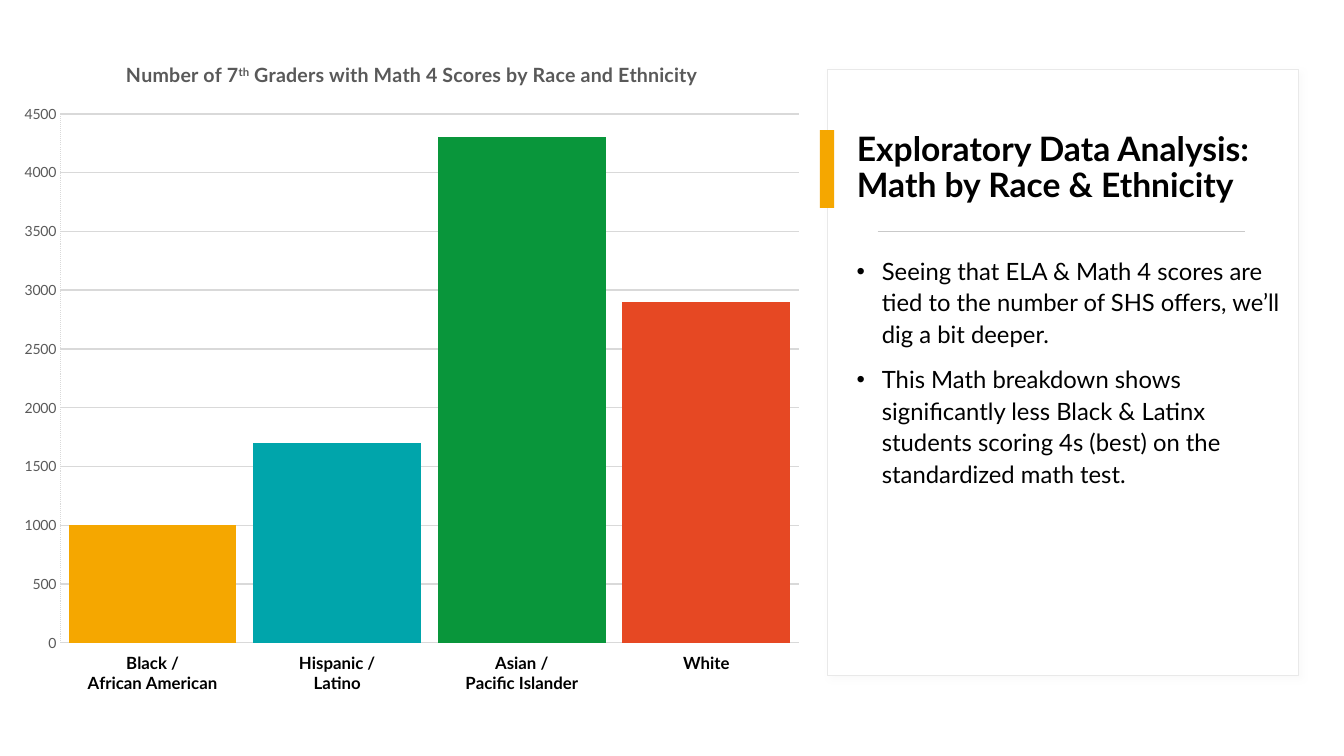
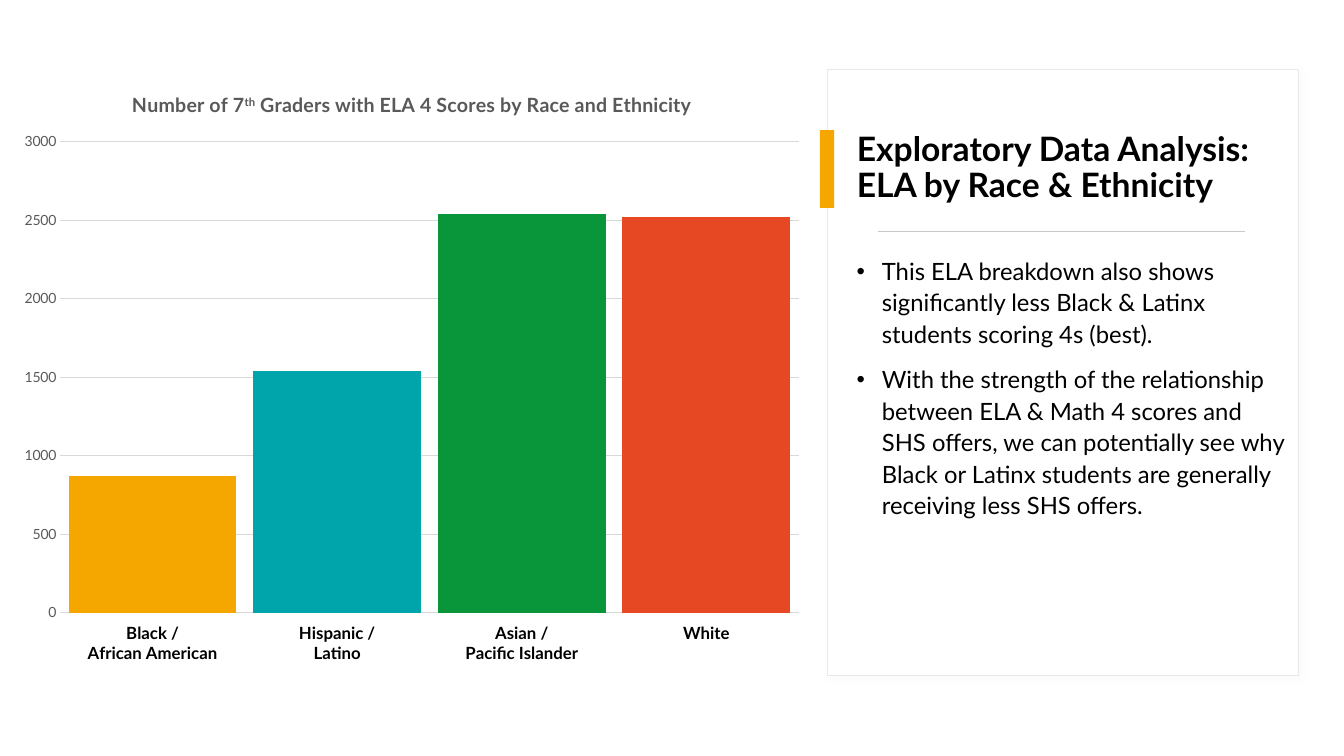
"""Build two slides that compare test scores by race and ethnicity."""
from dataclasses import dataclass

from lxml import etree
from pptx import Presentation
from pptx.chart.axis import CategoryAxis, ValueAxis
from pptx.chart.chart import Chart
from pptx.chart.data import CategoryChartData
from pptx.dml.color import RGBColor
from pptx.enum.chart import XL_CHART_TYPE, XL_TICK_LABEL_POSITION, XL_TICK_MARK
from pptx.enum.dml import MSO_LINE
from pptx.enum.shapes import MSO_CONNECTOR, MSO_SHAPE
from pptx.enum.text import MSO_ANCHOR, MSO_AUTO_SIZE, PP_ALIGN
from pptx.oxml import parse_xml
from pptx.oxml.ns import nsdecls, qn
from pptx.shapes.autoshape import Shape
from pptx.slide import Slide
from pptx.text.text import Font
from pptx.util import Cm, Pt

COLUMN = XL_CHART_TYPE.COLUMN_CLUSTERED
LABELS_LOW = XL_TICK_LABEL_POSITION.LOW
NO_TICK = XL_TICK_MARK.NONE
DOTTED = MSO_LINE.ROUND_DOT
STRAIGHT = MSO_CONNECTOR.STRAIGHT
RECTANGLE = MSO_SHAPE.RECTANGLE
MIDDLE = MSO_ANCHOR.MIDDLE
NO_AUTOFIT = MSO_AUTO_SIZE.NONE
LEFT = PP_ALIGN.LEFT
TITLE_ONLY = 5


@dataclass(frozen=True)
class Theme:
    """Colours, font and type sizes shared by the slides."""

    font: str = "Lato"
    text: str = "000000"
    muted: str = "595959"
    panel: str = "FFFFFF"
    border: str = "E9E9E9"
    shadow: str = "D9D9D9"
    grid: str = "D9D9D9"
    divider: str = "C9C9C9"
    accent: str = "F5A700"
    bars: tuple[str, ...] = ("F5A700", "00A5AB", "09963B", "E64823")
    title_size: float = 24
    body_size: float = 17
    chart_title_size: float = 14
    category_size: float = 12
    value_size: float = 10


@dataclass(frozen=True)
class Box:
    """A rectangle measured in centimetres."""

    left: float
    top: float
    width: float
    height: float

    def lengths(self) -> tuple[Cm, Cm, Cm, Cm]:
        """Return the rectangle as slide lengths."""
        return Cm(self.left), Cm(self.top), Cm(self.width), Cm(self.height)


@dataclass(frozen=True)
class ScoreSlide:
    """The content of one slide on one subject."""

    subject: str
    bullets: tuple[str, ...]
    values: tuple[int, ...]
    maximum: int
    chart_box: Box
    chart_title_left: float
    plot_top: float
    grid_width: float
    dotted_axis: bool


THEME = Theme()
PANEL = Box(20.85, 1.75, 11.87, 15.27)
TITLE = Box(21.34, 2.72, 11.4, 3.07)
ACCENT = Box(20.66, 3.28, 0.36, 1.96)
BODY = Box(21.34, 6.27, 11.4, 9.88)
DIVIDER = Box(22.12, 5.83, 9.25, 0)
PLOT_LEFT, PLOT_RIGHT, PLOT_BOTTOM = 1.29, 0.42, 1.58
CHART_TITLE_TOP = 0.45
CATEGORIES = (
    "Black /\nAfrican American",
    "Hispanic /\nLatino",
    "Asian /\nPacific Islander",
    "White",
)
SLIDES = (
    ScoreSlide(
        subject="Math",
        bullets=(
            "Seeing that ELA & Math 4 scores are tied to the number of SHS offers, "
            "we’ll dig a bit deeper.",
            "This Math breakdown shows significantly less Black & Latinx students "
            "scoring 4s (best) on the standardized math test.",
        ),
        values=(1000, 1700, 4300, 2900),
        maximum=4500,
        chart_box=Box(0.23, 0.99, 20.32, 16.79),
        chart_title_left=2.87,
        plot_top=1.88,
        grid_width=1,
        dotted_axis=True,
    ),
    ScoreSlide(
        subject="ELA",
        bullets=(
            "This ELA breakdown also shows significantly less Black & Latinx students "
            "scoring 4s (best).",
            "With the strength of the relationship between ELA & Math 4 scores and SHS "
            "offers, we can potentially see why Black or Latinx students are generally "
            "receiving less SHS offers.",
        ),
        values=(870, 1540, 2540, 2520),
        maximum=3000,
        chart_box=Box(0.23, 1.75, 20.32, 15.27),
        chart_title_left=3.02,
        plot_top=1.82,
        grid_width=0.75,
        dotted_axis=False,
    ),
)


def format_font(font: Font, size: float, color: str, bold: bool = False) -> None:
    """Give a font the theme typeface, a size and a colour."""
    font.name = THEME.font
    font.size = Pt(size)
    font.bold = bold
    font.color.rgb = RGBColor.from_string(color)


def add_rectangle(slide: Slide, box: Box, fill: str) -> Shape:
    """Draw a flat rectangle without outline."""
    shape = slide.shapes.add_shape(RECTANGLE, *box.lengths())
    shape.shadow.inherit = False
    shape.fill.solid()
    shape.fill.fore_color.rgb = RGBColor.from_string(fill)
    shape.line.fill.background()
    return shape


def add_panel(slide: Slide) -> None:
    """Draw the outlined text panel with its soft shadow."""
    panel = add_rectangle(slide, PANEL, THEME.panel)
    panel.line.color.rgb = RGBColor.from_string(THEME.border)
    panel.line.width = Pt(0.75)
    effects = panel.element.spPr.find(qn("a:effectLst"))
    effects.append(parse_xml(
        f'<a:outerShdw {nsdecls("a")} blurRad="{Pt(4)}" dist="{Pt(3)}" dir="2700000">'
        f'<a:srgbClr val="{THEME.shadow}"><a:alpha val="12000"/></a:srgbClr>'
        "</a:outerShdw>"
    ))


def add_divider(slide: Slide) -> None:
    """Draw the thin line between the title and the bullets."""
    left, top, width, _ = DIVIDER.lengths()
    line = slide.shapes.add_connector(STRAIGHT, left, top, left + width, top)
    line.line.color.rgb = RGBColor.from_string(THEME.divider)
    line.line.width = Pt(0.75)
    etree.SubElement(line.element.spPr, qn("a:effectLst"))


def format_title(slide: Slide, subject: str) -> None:
    """Place and fill the title placeholder in front of the panel."""
    title = slide.shapes.title
    title.left, title.top, title.width, title.height = TITLE.lengths()
    frame = title.text_frame
    frame.text = f"Exploratory Data Analysis: {subject} by Race & Ethnicity"
    frame.auto_size = NO_AUTOFIT
    frame.word_wrap = True
    frame.vertical_anchor = MIDDLE
    paragraph = frame.paragraphs[0]
    paragraph.alignment = LEFT
    paragraph.line_spacing = 0.9
    format_font(paragraph.runs[0].font, THEME.title_size, THEME.text, bold=True)
    title.element.getparent().append(title.element)


def add_bullets(slide: Slide, bullets: tuple[str, ...]) -> None:
    """Write the bulleted findings."""
    frame = slide.shapes.add_textbox(*BODY.lengths()).text_frame
    frame.text = "\n".join(bullets)
    frame.word_wrap = True
    for paragraph in frame.paragraphs:
        paragraph.line_spacing = 1.1
        paragraph.space_before = Pt(10)
        format_font(paragraph.runs[0].font, THEME.body_size, THEME.text)
        properties = paragraph._p.get_or_add_pPr()
        properties.set("marL", str(Pt(18)))
        properties.set("indent", str(-Pt(18)))
        etree.SubElement(properties, qn("a:buFont"), typeface="Arial")
        etree.SubElement(properties, qn("a:buChar"), char="•")


def set_layout(parent: etree.ElementBase, index: int, settings: dict[str, str | float]) -> None:
    """Replace the layout of a chart part with a manual one."""
    for layout in parent.findall(qn("c:layout")):
        parent.remove(layout)
    layout = etree.Element(qn("c:layout"))
    manual = etree.SubElement(layout, qn("c:manualLayout"))
    for name, value in settings.items():
        etree.SubElement(manual, qn(f"c:{name}"), val=str(value))
    parent.insert(index, layout)


def place_chart_parts(chart: Chart, content: ScoreSlide) -> None:
    """Fix the chart title and plot area inside the chart."""
    width, height = content.chart_box.width, content.chart_box.height
    edges = {"xMode": "edge", "yMode": "edge"}
    root = chart.element.find(qn("c:chart"))
    set_layout(root.find(qn("c:title")), 1, {
        **edges,
        "x": round(content.chart_title_left / width, 4),
        "y": round(CHART_TITLE_TOP / height, 4),
    })
    set_layout(root.find(qn("c:plotArea")), 0, {
        "layoutTarget": "inner",
        **edges,
        "x": round(PLOT_LEFT / width, 4),
        "y": round(content.plot_top / height, 4),
        "w": round(1 - (PLOT_LEFT + PLOT_RIGHT) / width, 4),
        "h": round(1 - (content.plot_top + PLOT_BOTTOM) / height, 4),
    })


def write_chart_title(chart: Chart, subject: str) -> None:
    """Write the chart title with its raised ordinal."""
    paragraph = chart.chart_title.text_frame.paragraphs[0]
    ending = f" Graders with {subject} 4 Scores by Race and Ethnicity"
    for text in ("Number of 7", "th", ending):
        run = paragraph.add_run()
        run.text = text
        format_font(run.font, THEME.chart_title_size, THEME.muted, bold=True)
    paragraph.runs[1]._r.get_or_add_rPr().set("baseline", "30000")
    chart.chart_title.include_text_in_layout = False


def format_axes(category: CategoryAxis, value: ValueAxis, content: ScoreSlide) -> None:
    """Style both axes and the gridlines."""
    grid_color = RGBColor.from_string(THEME.grid)
    for axis in (category, value):
        axis.major_tick_mark = axis.minor_tick_mark = NO_TICK
        axis.format.line.color.rgb = grid_color
        axis.format.line.width = Pt(0.75)
    category.tick_label_position = LABELS_LOW
    format_font(category.tick_labels.font, THEME.category_size, THEME.text, bold=True)
    format_font(value.tick_labels.font, THEME.value_size, THEME.muted)
    value.minimum_scale, value.maximum_scale, value.major_unit = 0, content.maximum, 500
    value.major_gridlines.format.line.color.rgb = grid_color
    value.major_gridlines.format.line.width = Pt(content.grid_width)
    if content.dotted_axis:
        value.format.line.dash_style = DOTTED
    else:
        value.format.line.fill.background()


def add_score_chart(slide: Slide, content: ScoreSlide) -> None:
    """Draw the column chart of scores."""
    data = CategoryChartData()
    data.categories = CATEGORIES
    data.add_series("Series 1", content.values)
    chart = slide.shapes.add_chart(COLUMN, *content.chart_box.lengths(), data).chart
    format_font(chart.font, THEME.value_size, THEME.text)
    chart.has_legend = False
    write_chart_title(chart, content.subject)
    format_axes(chart.category_axis, chart.value_axis, content)
    plot = chart.plots[0]
    plot.gap_width = 10
    plot.vary_by_categories = False
    for index, color in enumerate(THEME.bars):
        fill = plot.series[0].points[index].format.fill
        fill.solid()
        fill.fore_color.rgb = RGBColor.from_string(color)
    place_chart_parts(chart, content)


def main() -> None:
    """Build and save the presentation."""
    presentation = Presentation()
    presentation.slide_width, presentation.slide_height = Cm(33.87), Cm(19.05)
    for content in SLIDES:
        slide = presentation.slides.add_slide(presentation.slide_layouts[TITLE_ONLY])
        add_panel(slide)
        add_rectangle(slide, ACCENT, THEME.accent)
        add_divider(slide)
        format_title(slide, content.subject)
        add_bullets(slide, content.bullets)
        add_score_chart(slide, content)
    presentation.save("out.pptx")


if __name__ == "__main__":
    main()
